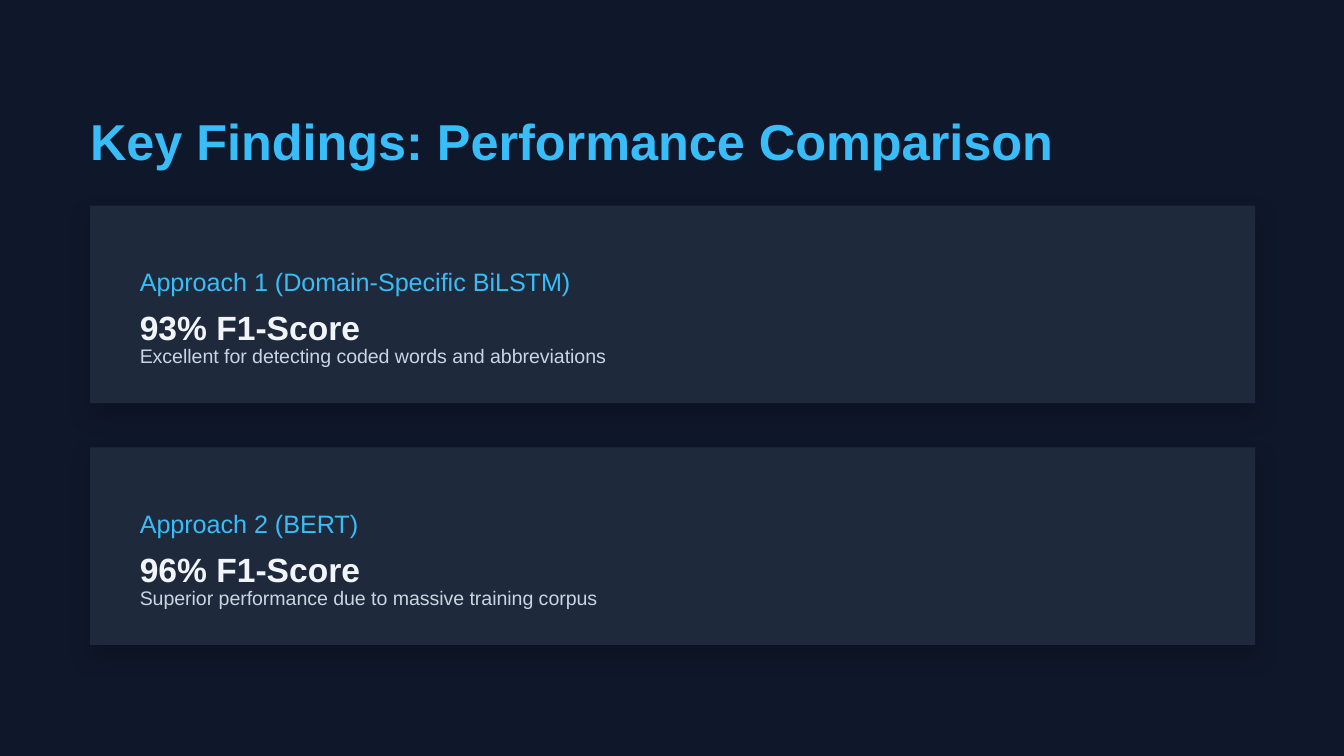
from lxml import etree
from pptx import Presentation
from pptx.dml.color import RGBColor
from pptx.enum.shapes import MSO_SHAPE
from pptx.enum.text import MSO_ANCHOR
from pptx.oxml.ns import qn
from pptx.util import Inches, Pt

RECTANGLE = MSO_SHAPE.RECTANGLE
TOP = MSO_ANCHOR.TOP

NAVY = RGBColor(0x0F, 0x17, 0x2A)
SLATE = RGBColor(0x1E, 0x29, 0x3B)
SKY = RGBColor(0x38, 0xBD, 0xF8)
WHITE = RGBColor(0xF1, 0xF5, 0xF9)
GRAY = RGBColor(0xCB, 0xD5, 0xE1)

FINDINGS = [
    ("Approach 1 (Domain-Specific BiLSTM)", "93% F1-Score",
     "Excellent for detecting coded words and abbreviations"),
    ("Approach 2 (BERT)", "96% F1-Score",
     "Superior performance due to massive training corpus"),
]
MARGIN = 0.67
CARD_TOP = 1.53
CARD_STEP = 1.8
TEXT_LEFT = 1.04
TEXT_WIDTH = 8.12

prs = Presentation()
prs.slide_width = Inches(10)
prs.slide_height = Inches(10 * 9 / 16)
slide = prs.slides.add_slide(prs.slide_layouts[6])
slide.background.fill.solid()
slide.background.fill.fore_color.rgb = NAVY


def add_text(text, *, left, top, width, height, size, spacing, color, bold=False):
    frame = slide.shapes.add_textbox(
        Inches(left), Inches(top), Inches(width), Inches(height)).text_frame
    frame.word_wrap = True
    frame.vertical_anchor = TOP
    frame.margin_left = frame.margin_right = Inches(0)
    frame.margin_top = frame.margin_bottom = Inches(0)
    paragraph = frame.paragraphs[0]
    paragraph.line_spacing = Pt(spacing)
    run = paragraph.add_run()
    run.text = text
    run.font.name = "Arial"
    run.font.size = Pt(size)
    run.font.bold = bold
    run.font.color.rgb = color


def add_soft_shadow(shape):
    shape.shadow.inherit = False
    effects = shape._element.spPr.find(qn("a:effectLst"))
    shadow = etree.SubElement(
        effects, qn("a:outerShdw"), blurRad=str(Pt(12)), dist=str(Pt(6)),
        dir="5400000", algn="ctr", rotWithShape="0")
    black = etree.SubElement(shadow, qn("a:srgbClr"), val="000000")
    etree.SubElement(black, qn("a:alpha"), val="20000")


add_text("Key Findings: Performance Comparison", left=MARGIN, top=MARGIN,
         width=8.84, height=0.45, size=27, spacing=43.2, color=SKY, bold=True)

for index, (approach, score, remark) in enumerate(FINDINGS):
    card_top = CARD_TOP + index * CARD_STEP
    card = slide.shapes.add_shape(
        RECTANGLE, Inches(MARGIN), Inches(card_top), Inches(8.67), Inches(1.47))
    card.fill.solid()
    card.fill.fore_color.rgb = SLATE
    card.line.fill.background()
    add_soft_shadow(card)

    add_text(approach, left=TEXT_LEFT, top=card_top + 0.33, width=TEXT_WIDTH,
             height=0.26, size=13.5, spacing=25.2, color=SKY)
    add_text(score, left=TEXT_LEFT, top=card_top + 0.59, width=TEXT_WIDTH,
             height=0.34, size=18, spacing=33.6, color=WHITE, bold=True)
    add_text(remark, left=TEXT_LEFT, top=card_top + 0.93, width=TEXT_WIDTH,
             height=0.2, size=10.5, spacing=19.6, color=GRAY)

prs.save("out.pptx")
